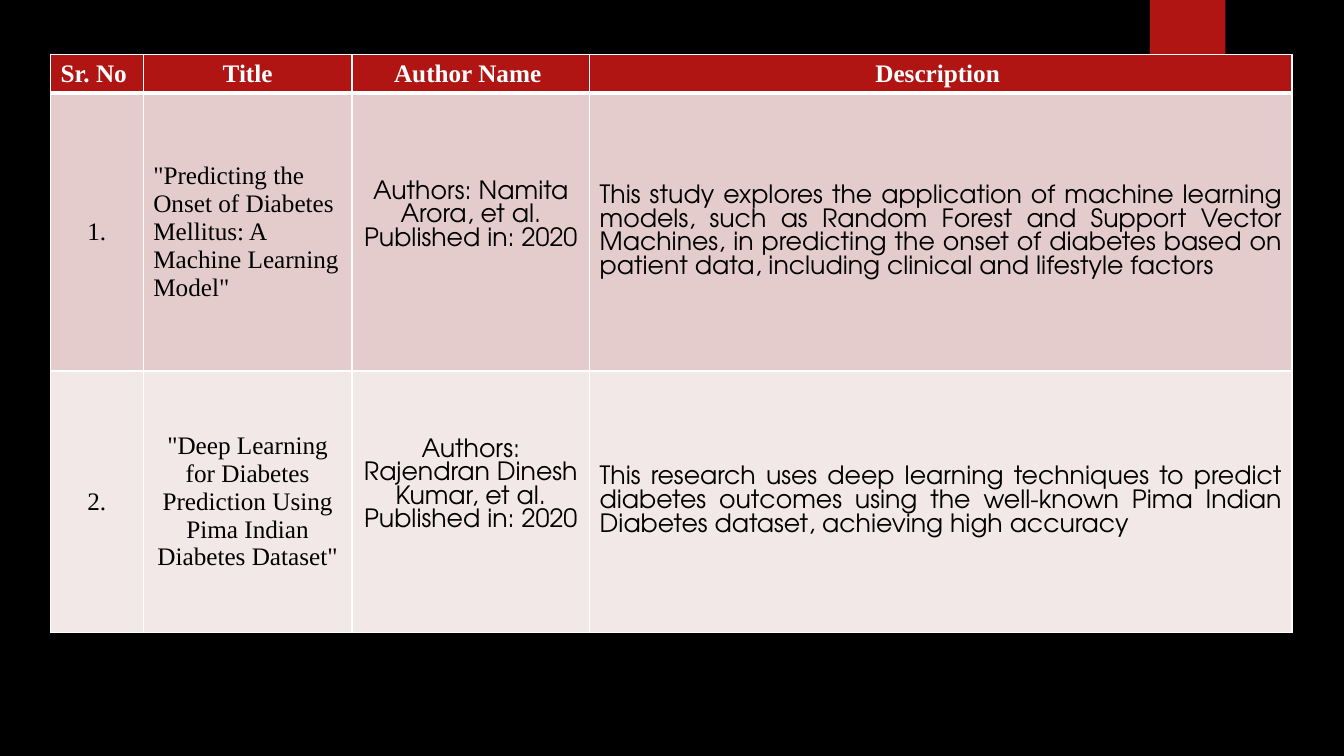
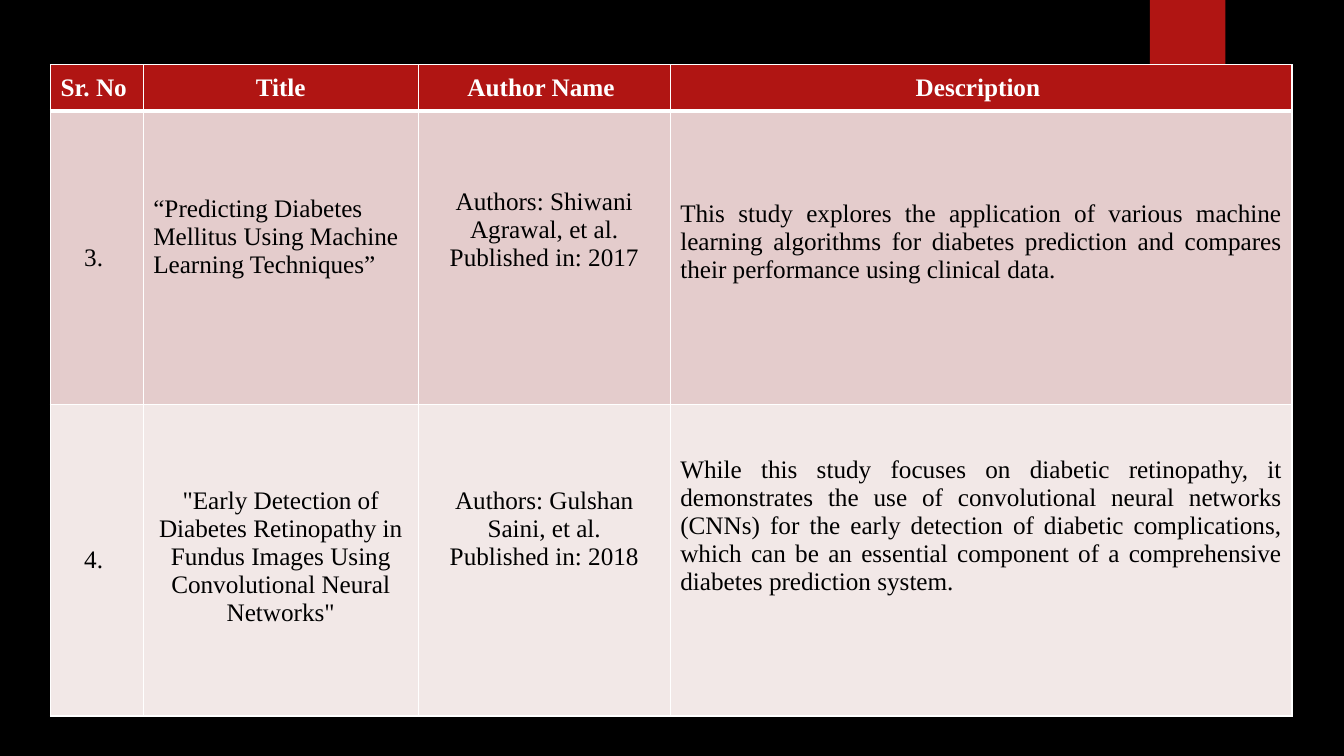
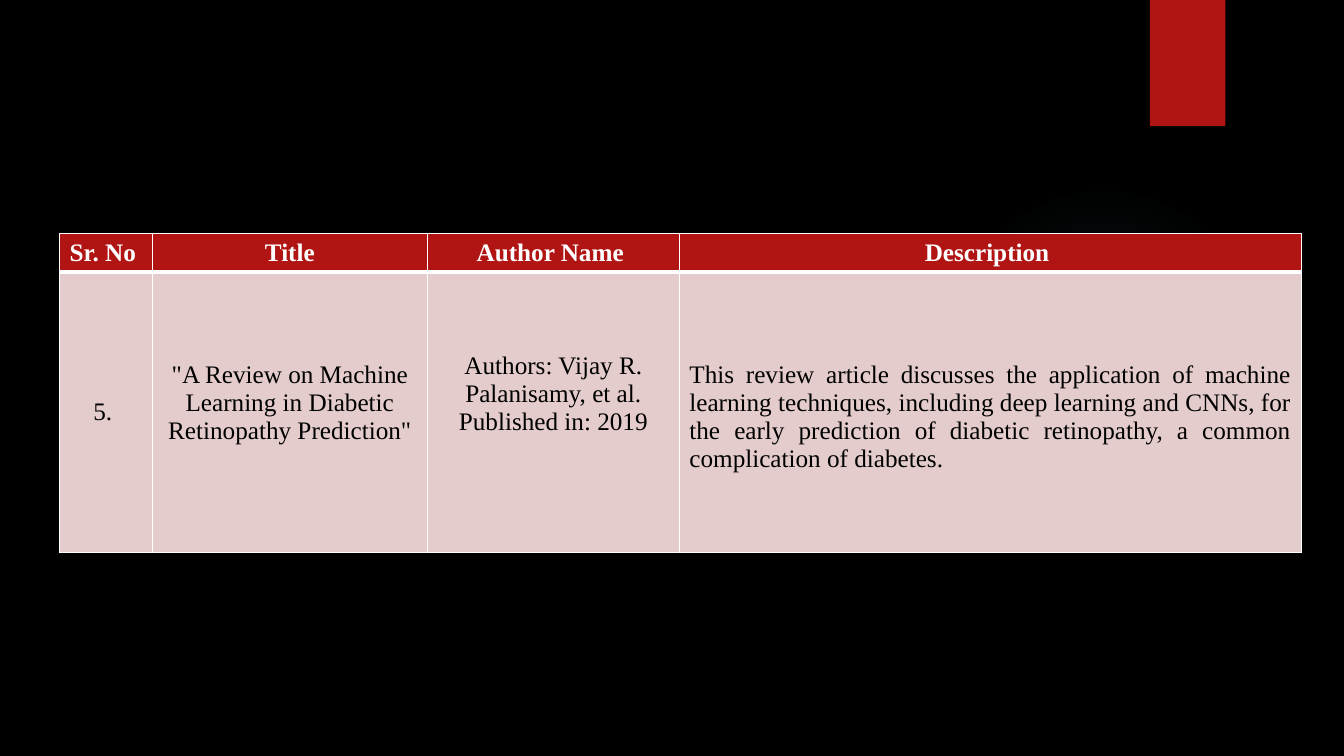
from lxml import etree
from pptx import Presentation
from pptx.dml.color import RGBColor
from pptx.enum import shapes, text
from pptx.oxml import ns
from pptx.util import Cm, Pt

RED, WHITE, BLACK, TEAL = "B01513", "FFFFFF", "000000", "50B9C1"
BANDS = ["E4CCCC", "F2E8E7"]
SERIF, SANS = "Times New Roman", "TeX Gyre Adventor"
LEFT, CENTER, JUSTIFY = text.PP_ALIGN.LEFT, text.PP_ALIGN.CENTER, text.PP_ALIGN.JUSTIFY
GLOW = [(0, 7), (36, 6), (69, 0)]
MARGIN = 0.13

HEADERS = ["Sr. No ", "Title", "Author Name ", "Description "]
WIDE_TITLE = [2.34, 6.93, 6.35, 15.67]

SLIDES = [
    dict(
        at=(1.27, 1.37), cols=[2.34, 5.26, 5.99, 17.7], rows=[0.97, 7.01, 6.58], font=SANS,
        papers=[
            dict(no="1.", title='"Predicting the Onset of Diabetes Mellitus: A Machine Learning Model"',
                 title_align=LEFT, authors="Authors: Namita Arora, et al.\nPublished in: 2020",
                 about="This study explores the application of machine learning models, such as "
                       "Random Forest and Support Vector Machines, in predicting the onset of "
                       "diabetes based on patient data, including clinical and lifestyle factors"),
            dict(no="2.", title='"Deep Learning for Diabetes Prediction Using Pima Indian Diabetes Dataset"',
                 title_align=CENTER, authors="Authors: Rajendran Dinesh Kumar, et al.\nPublished in: 2020",
                 about="This research uses deep learning techniques to predict diabetes outcomes "
                       "using the well-known Pima Indian Diabetes dataset, achieving high accuracy"),
        ]),
    dict(
        at=(1.27, 1.63), cols=WIDE_TITLE, rows=[1.17, 7.39, 7.85], font=SERIF,
        papers=[
            dict(no="3. ", title="“Predicting Diabetes Mellitus Using Machine Learning Techniques”",
                 title_align=LEFT, authors="Authors: Shiwani Agrawal, et al.\nPublished in: 2017",
                 about="This study explores the application of various machine learning algorithms "
                       "for diabetes prediction and compares their performance using clinical data.",
                 tops=(2.12, 1.94, 2.24)),
            dict(no="4. ", title='"Early Detection of Diabetes Retinopathy in Fundus Images Using '
                                 'Convolutional Neural Networks"',
                 title_align=CENTER, authors="Authors: Gulshan Saini, et al.\nPublished in: 2018",
                 about="While this study focuses on diabetic retinopathy, it demonstrates the use of "
                       "convolutional neural networks (CNNs) for the early detection of diabetic "
                       "complications, which can be an essential component of a comprehensive "
                       "diabetes prediction system.",
                 tops=(2.09, 2.09, 1.31)),
        ]),
    dict(
        at=(1.5, 5.89), cols=WIDE_TITLE, rows=[0.97, 7.06], font=SERIF,
        papers=[
            dict(no="5. ", title='"A Review on Machine Learning in Diabetic Retinopathy Prediction"',
                 title_align=CENTER, authors="Authors: Vijay R. Palanisamy, et al.\nPublished in: 2019",
                 about="This review article discusses the application of machine learning techniques, "
                       "including deep learning and CNNs, for the early prediction of diabetic "
                       "retinopathy, a common complication of diabetes.",
                 tops=(2.24, 2.02, 2.24)),
        ]),
]


def rgb(value):
    return RGBColor.from_string(value)


def sub(parent, tag, **attrs):
    return etree.SubElement(parent, ns.qn(tag), {k: str(v) for k, v in attrs.items()})


def add_shape(slide, kind, left, top, width, height):
    sp = slide.shapes.add_shape(kind, Cm(left), Cm(top), Cm(width), Cm(height))
    sp.shadow.inherit = False
    sp.line.fill.background()
    return sp


def add_decor(slide):
    glow = add_shape(slide, shapes.MSO_SHAPE.OVAL, 23.9, 4.65, 7.82, 7.82)
    glow.fill.gradient()
    grad = glow._element.spPr.find(ns.qn("a:gradFill"))
    for child in list(grad):
        grad.remove(child)
    stops = sub(grad, "a:gsLst")
    for pos, alpha in GLOW:
        color = sub(sub(stops, "a:gs", pos=pos * 1000), "a:srgbClr", val=TEAL)
        sub(color, "a:alpha", val=alpha * 1000)
    sub(sub(grad, "a:path", path="circle"), "a:fillToRect", l=50000, t=50000, r=50000, b=50000)
    tab = add_shape(slide, shapes.MSO_SHAPE.RECTANGLE, 28.98, 0, 1.9, 3.18)
    tab.fill.solid()
    tab.fill.fore_color.rgb = rgb(RED)


def set_borders(cell, top, bottom):
    tcPr = cell._tc.get_or_add_tcPr()
    sides = [("a:lnL", 1), ("a:lnR", 1), ("a:lnT", top), ("a:lnB", bottom)]
    for i, (tag, width) in enumerate(sides):
        ln = sub(tcPr, tag, w=Pt(width))
        sub(sub(ln, "a:solidFill"), "a:srgbClr", val=WHITE)
        tcPr.insert(i, ln)


def fill_cell(cell, content, fill, align, font=SERIF, color=BLACK, bold=False, top=None, bottom=MARGIN):
    cell.fill.solid()
    cell.fill.fore_color.rgb = rgb(fill)
    cell.vertical_anchor = text.MSO_ANCHOR.MIDDLE if top is None else text.MSO_ANCHOR.TOP
    cell.margin_top = Cm(MARGIN if top is None else top)
    cell.margin_bottom = Cm(bottom)
    cell.text_frame.text = content
    for p in cell.text_frame.paragraphs:
        p.alignment = align
        p.font.name, p.font.size, p.font.bold = font, Pt(18), bold
        p.font.color.rgb = rgb(color)


def add_papers(slide, at, cols, rows, font, papers):
    table = slide.shapes.add_table(len(rows), len(cols), Cm(at[0]), Cm(at[1]),
                                   Cm(sum(cols)), Cm(sum(rows))).table
    for col, width in zip(table.columns, cols):
        col.width = Cm(width)
    for row, height in zip(table.rows, rows):
        row.height = Cm(height)
    for c, header in enumerate(HEADERS):
        fill_cell(table.cell(0, c), header, RED, CENTER, color=WHITE, bold=True)
    for r, paper in enumerate(papers, 1):
        band = BANDS[(r - 1) % 2]
        tops = paper.get("tops", (None,) * 3)
        lift = MARGIN if "tops" in paper else 0.94
        fill_cell(table.cell(r, 0), paper["no"], band, CENTER)
        fill_cell(table.cell(r, 1), paper["title"], band, paper["title_align"], top=tops[0])
        fill_cell(table.cell(r, 2), paper["authors"], band, CENTER, font, top=tops[1], bottom=lift)
        fill_cell(table.cell(r, 3), paper["about"], band, JUSTIFY, font, top=tops[2])
    for r in range(len(rows)):
        for c in range(len(cols)):
            set_borders(table.cell(r, c), 3 if r == 1 else 1, 3 if r == 0 else 1)


def main():
    prs = Presentation()
    prs.slide_width, prs.slide_height = Cm(33.87), Cm(19.05)
    background = prs.slide_master.background.fill
    background.solid()
    background.fore_color.rgb = rgb(BLACK)
    for content in SLIDES:
        slide = prs.slides.add_slide(prs.slide_layouts[6])
        add_decor(slide)
        add_papers(slide, **content)
    prs.save("out.pptx")


if __name__ == "__main__":
    main()
